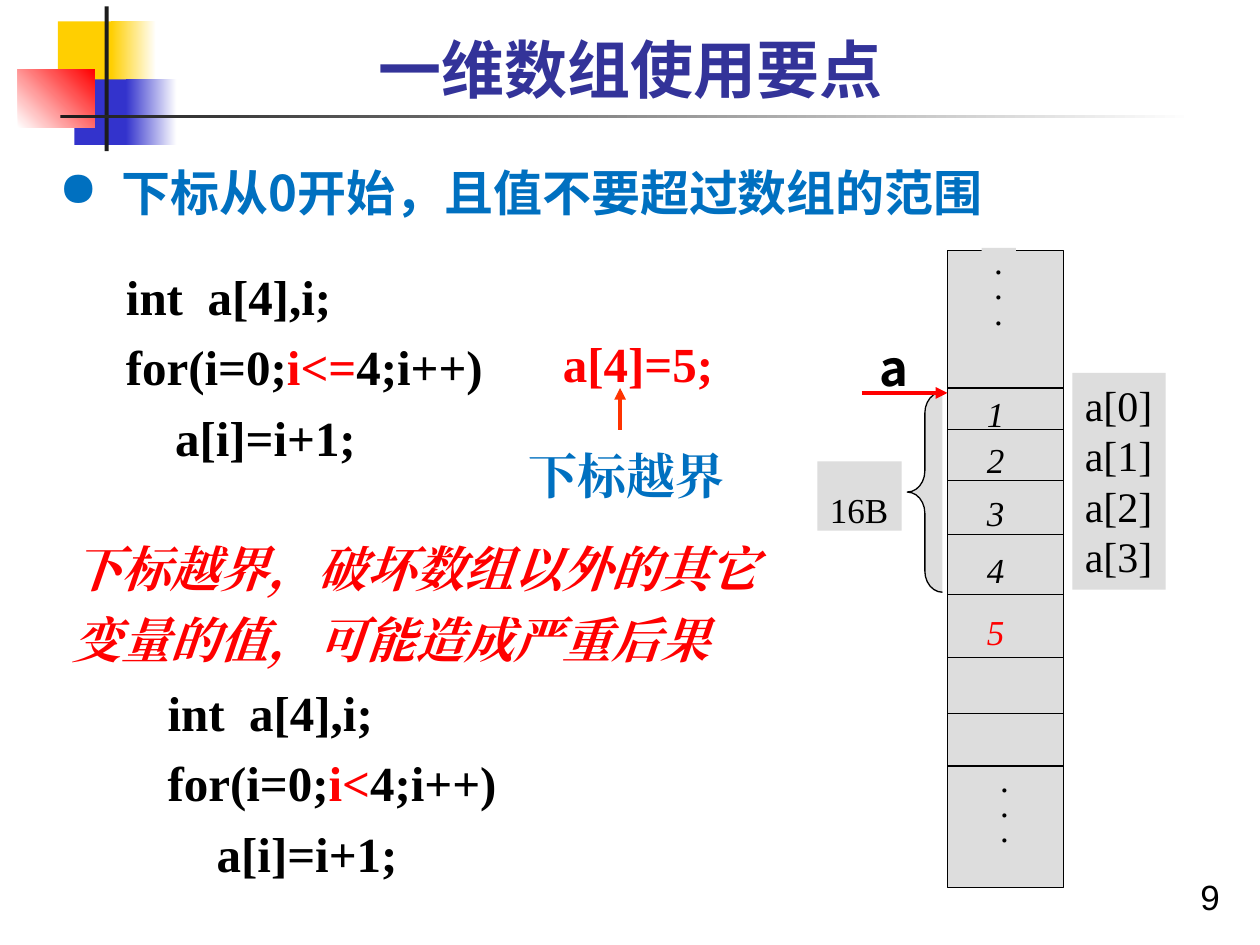
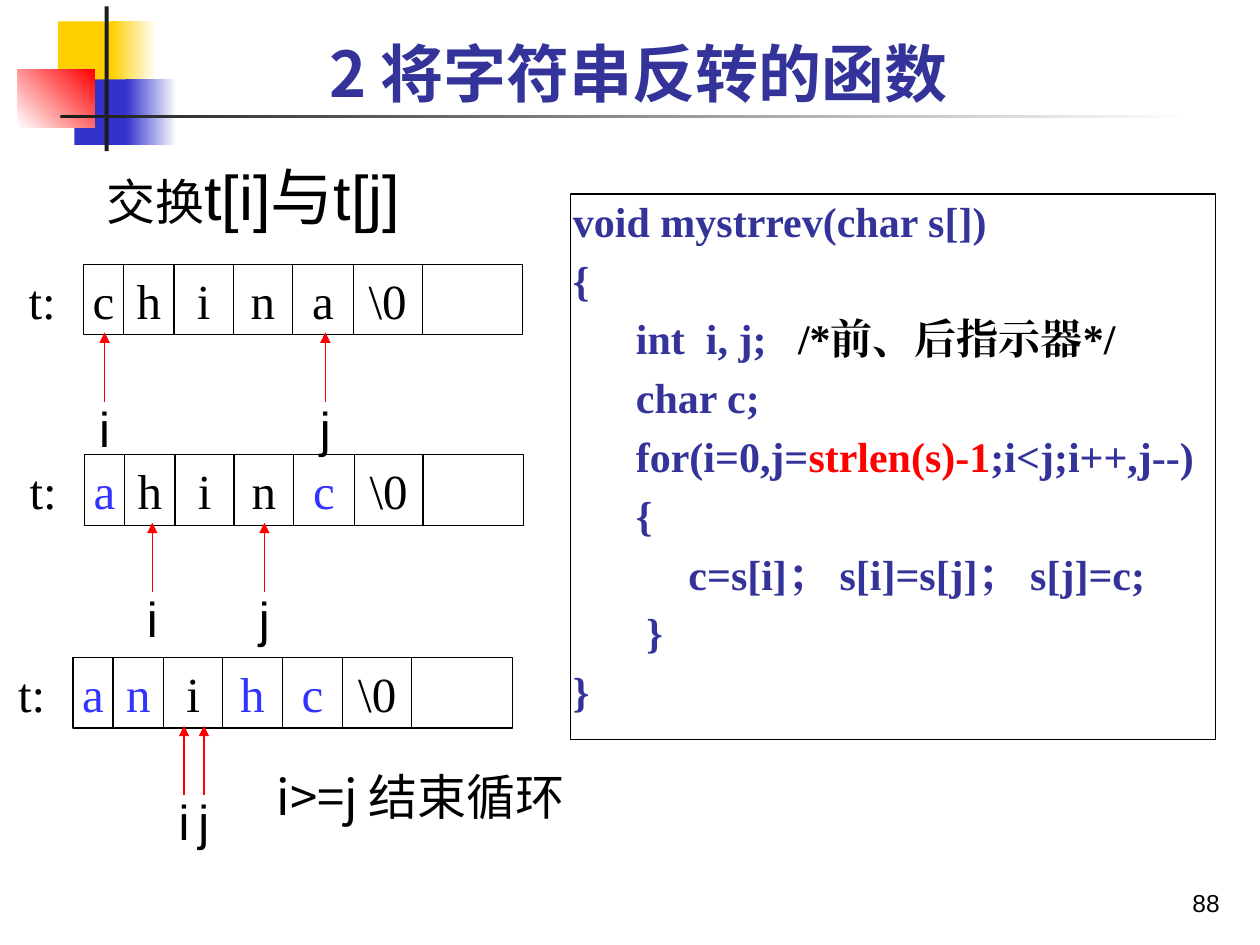
from collections import namedtuple
from dataclasses import dataclass, replace
from itertools import pairwise

from lxml import etree
from pptx import Presentation
from pptx import util as u
from pptx.dml import color as dml
from pptx.enum import shapes, text
from pptx.oxml import ns

BLACK, WHITE, RED, ORANGE = "000000", "FFFFFF", "FF0000", "FF3300"
NAVY, BLUE, SWAPPED, GREY = "333399", "0070C0", "3333FF", "DDDDDD"
YELLOW, INDIGO, INK = "FFCF01", "3333CC", "1C1C1C"
SERIF, SANS, CJK = "Times New Roman", "Arial", "Noto Sans CJK SC"
LEFT, CENTER, RIGHT = text.PP_ALIGN.LEFT, text.PP_ALIGN.CENTER, text.PP_ALIGN.RIGHT
TOP, MIDDLE, BOTTOM = (text.MSO_ANCHOR.TOP, text.MSO_ANCHOR.MIDDLE,
                       text.MSO_ANCHOR.BOTTOM)
RECT = shapes.MSO_SHAPE.RECTANGLE


class Box(namedtuple("Box", "left top width height")):
    """A rectangle in centimetres."""

    def inside(self, dx, dy, width, height):
        return Box(self.left + dx, self.top + dy, width, height)

    def lengths(self):
        return [u.Cm(value) for value in self]


@dataclass(frozen=True)
class Style:
    size: float = 28
    face: str = SERIF
    color: str = BLACK
    bold: bool = False
    italic: bool = False
    gap: float = 0  # extra points after each character


@dataclass(frozen=True)
class Para:
    spans: tuple  # strings, or (string, style changes)
    indent: float = 0
    bullet: str = ""


CODE = Style(bold=True)
PANEL_CODE = Style(24, color=NAVY, bold=True)
TITLE = Style(36, CJK, NAVY, bold=True)


def rgb(value):
    return dml.RGBColor.from_string(value)


def add_span(para, words, style):
    span = para.add_run()
    span.text = words
    font = span.font
    font.size, font.name = u.Pt(style.size), style.face
    font.bold, font.italic = style.bold, style.italic
    font.color.rgb = rgb(style.color)
    props = span._r.get_or_add_rPr()
    etree.SubElement(props, ns.qn("a:ea")).set("typeface", style.face)
    if style.gap:
        props.set("spc", str(int(style.gap * 100)))


def write(shape, paras, style, align=LEFT, anchor=TOP, spacing=1.0, before=0,
          wrap=True, insets=(0.25, 0.13)):
    frame = shape.text_frame
    frame.word_wrap, frame.vertical_anchor = wrap, anchor
    frame.margin_left = frame.margin_right = u.Cm(insets[0])
    frame.margin_top = frame.margin_bottom = u.Cm(insets[1])
    for number, item in enumerate(paras):
        if isinstance(item, str):
            item = Para((item,))
        para = frame.add_paragraph() if number else frame.paragraphs[0]
        para.alignment, para.line_spacing = align, spacing
        para.space_before = u.Pt(before)
        props = para._p.get_or_add_pPr()
        props.set("marL", str(u.Cm(item.indent)))
        props.set("indent", str(-u.Cm(item.indent) if item.bullet else 0))
        if item.bullet:
            etree.SubElement(props, ns.qn("a:buChar")).set("char", item.bullet)
        for span in item.spans:
            words, changes = (span, {}) if isinstance(span, str) else span
            add_span(para, words, replace(style, **changes))


def add_words(page, box, paras, style, **layout):
    write(page.shapes.add_textbox(*box.lengths()), paras, style, **layout)


def add_label(page, center, middle, words, style):
    """Centre a short unwrapped text on a point."""
    add_words(page, Box(center - 0.6, middle - 0.7, 1.2, 1.4), [words], style,
              align=CENTER, anchor=MIDDLE, wrap=False, insets=(0, 0))


def add_block(page, box, fill=None, line=None, fade=None, angle=0, kind=RECT):
    block = page.shapes.add_shape(kind, *box.lengths())
    block.shadow.inherit = False
    if fade:
        block.fill.gradient()
        block.fill.gradient_angle = angle
        for stop, value in zip(block.fill.gradient_stops, (fill, fade)):
            stop.color.rgb = rgb(value)
    elif fill:
        block.fill.solid()
        block.fill.fore_color.rgb = rgb(fill)
    else:
        block.fill.background()
    if line:
        block.line.color.rgb = rgb(line)
        block.line.width = u.Pt(0.75)
    else:
        block.line.fill.background()
    return block


def add_line(page, start, end, color=BLACK, width=0.75, arrow=False):
    line = page.shapes.add_connector(shapes.MSO_CONNECTOR.STRAIGHT,
                                     *[u.Cm(value) for value in (*start, *end)])
    line.line.color.rgb = rgb(color)
    line.line.width = u.Pt(width)
    if arrow:
        tail = etree.SubElement(line.line._get_or_add_ln(), ns.qn("a:tailEnd"))
        tail.set("type", "triangle")
    etree.SubElement(line._element.spPr, ns.qn("a:effectLst"))


def add_page(deck, title, title_box, number, number_size):
    """Add a page with the shared ornament, title and page number."""
    page = deck.slides.add_slide(deck.slide_layouts[6])
    for box, fill, fade, angle in (
            (Box(1.17, 0.43, 1.22, 1.32), YELLOW, None, 0),
            (Box(2.24, 0.43, 0.91, 1.32), YELLOW, WHITE, 0),
            (Box(1.5, 1.6, 1.17, 1.32), INDIGO, None, 0),
            (Box(2.54, 1.6, 1.02, 1.32), INDIGO, WHITE, 0),
            (Box(0.36, 1.4, 1.55, 1.17), WHITE, RED, 45),
            (Box(2.11, 0.13, 0.08, 2.92), INK, None, 0),
            (Box(1.22, 2.31, 22.86, 0.08), INK, WHITE, 0)):
        add_block(page, box, fill, fade=fade, angle=angle)
    add_words(page, title_box, [title], TITLE, align=CENTER, anchor=BOTTOM)
    add_words(page, Box(19.56, 17.35, 5.28, 1.27), [number],
              Style(number_size, SANS), align=RIGHT, anchor=BOTTOM)
    return page


def add_loop_code(page, box, comparison):
    add_words(page, box, [
        Para(("int", (" ", {"gap": 7}), "a[4],i;"), 0.74),
        Para(("for(i=0;", (comparison, {"color": RED}), "4;i++)"), 0.74),
        Para(("a[i]=i+1;",), 1.73)], CODE, spacing=1.2)


def add_overflow_note(page, box):
    """The out-of-range assignment with its caption below an arrow."""
    add_words(page, box.inside(0.7, 0, 4.88, 1.57), ["a[4]=5;"],
              replace(CODE, color=RED), spacing=1.2)
    add_line(page, (box.left + 2.1, box.top + 2.31),
             (box.left + 2.1, box.top + 1.47), ORANGE, 2.25, arrow=True)
    add_words(page, box.inside(0, 2.26, box.width, 1.55), ["下标越界"],
              replace(CODE, color=BLUE), spacing=1.2, wrap=False)


def add_memory(page, box):
    """The memory column with its values, indices, size brace and pointer."""
    add_block(page, box, GREY, BLACK)
    for dx, dy in ((0.69, -0.05), (0.81, 10.39)):
        patch = add_block(page, box.inside(dx, dy, 0.69, 1.83), GREY)
        write(patch, ["."] * 3, Style(20), spacing=0.6, wrap=False)

    borders = [box.top + dy
               for dy in (2.77, 3.61, 4.63, 5.72, 6.94, 8.21, 9.33, 10.39)]
    right = box.left + box.width
    for border in borders:
        add_line(page, (box.left, border), (right, border))
    for value, (upper, lower) in zip("12345", pairwise(borders)):
        color = RED if value == "5" else BLACK
        add_label(page, box.left + box.width / 2 - 0.2, (upper + lower) / 2 + 0.1,
                  value, Style(20, color=color, italic=True))

    indices = add_block(page, box.inside(2.52, 2.47, 1.88, 4.37), GREY)
    write(indices, [f"a[{index}]" for index in range(4)], Style(24), wrap=False)

    brace = add_block(page, box.inside(-0.81, 2.85, 0.71, 4.04), GREY, BLACK,
                      kind=shapes.MSO_SHAPE.LEFT_BRACE)
    brace.adjustments[0], brace.adjustments[1] = 0.6, 0.5
    size = add_block(page, box.inside(-2.62, 4.25, 1.7, 1.4), GREY)
    write(size, ["16B"], Style(20), spacing=1.5, wrap=False)

    add_line(page, (box.left - 1.73, box.top + 2.87),
             (box.left, box.top + 2.87), RED, 2.25, arrow=True)
    add_words(page, box.inside(-1.62, 1.63, 1.09, 1.45), ["a"],
              Style(face=CJK, bold=True), wrap=False)


def add_string_row(page, box, word, start_word, pointers):
    """Draw the string's cells; letters that moved from start_word are coloured."""
    add_block(page, box, line=BLACK)
    edges = [box.left + dx for dx in (0, 0.81, 1.83, 3.02, 4.22, 5.44, 6.83)]
    bottom, middle = box.top + box.height, box.top + box.height / 2
    for edge in edges[1:]:
        add_line(page, (edge, box.top), (edge, bottom))
    add_label(page, box.left - 0.83, middle, "t:", Style())
    for letter, first, (left, right) in zip([*word, "\\0"], [*start_word, "\\0"],
                                            pairwise(edges)):
        color = BLACK if letter == first else SWAPPED
        add_label(page, (left + right) / 2, middle, letter, Style(color=color))
    for name, dx in zip("ij", pointers):
        x = box.left + dx
        add_line(page, (x, bottom + 1.35), (x, bottom - 0.05), RED, arrow=True)
        add_label(page, x, bottom + 1.87, name, Style(face=SANS))


def add_reverse_code(page, box):
    panel = add_block(page, box, WHITE, BLACK)
    write(panel, [
        "void mystrrev(char s[])",
        "{",
        Para(("int", (" ", {"gap": 6}), "i, j;", (" ", {"gap": 12}),
              ("/*前、后指示器*/", {"color": BLACK})), 1.27),
        Para(("char c;",), 1.27),
        Para(("for(i=0,j=", ("strlen(s)-1", {"color": RED}), ";i<j;i++,j--)"), 1.27),
        Para(("{",), 1.27),
        Para(("c=s[i]； s[i]=s[j]； s[j]=c;",), 2.33),
        Para(("}",), 1.48),
        "}"], PANEL_CODE, before=4.8, insets=(0.05, 0.03))


def add_array_page(deck):
    page = add_page(deck, "一维数组使用要点", Box(1.9, 0.13, 21.64, 2.13), "9", 20)
    add_words(page, Box(0.94, 3.15, 20.24, 1.45),
              [Para(("下标从0开始，且值不要超过数组的范围",), 1.27, "●")],
              Style(face=CJK, color=BLUE, bold=True))
    add_loop_code(page, Box(1.55, 5, 8.69, 4.52), "i<=")
    add_overflow_note(page, Box(10.4, 6.35, 4.52, 3.81))
    add_words(page, Box(1.22, 10.49, 14.81, 3.1),
              ["下标越界，破坏数组以外的其它变量的值，可能造成严重后果"],
              Style(color=RED, bold=True, italic=True), spacing=1.2)
    add_loop_code(page, Box(2.39, 13.39, 8.69, 4.52), "i<")
    add_memory(page, Box(19.1, 5.05, 2.34, 12.85))


def add_reverse_page(deck):
    page = add_page(deck, "2 将字符串反转的函数", Box(2.05, 0.33, 21.64, 2.03),
                    "88", 14)
    add_words(page, Box(1.9, 3.05, 9.2, 1.8),
              [Para(("交换", ("t[i]与t[j]", {"size": 36, "face": SANS})))],
              Style(face=CJK))
    for left, top, word, pointers in ((1.68, 5.33, "china", (0.43, 4.88)),
                                      (1.7, 9.17, "ahinc", (1.37, 3.63)),
                                      (1.47, 13.26, "anihc", (2.24, 2.64))):
        add_string_row(page, Box(left, top, 8.86, 1.42), word, "china", pointers)
    add_words(page, Box(5.33, 15.32, 9.2, 1.45), ["i>=j 结束循环"], Style(face=CJK))
    add_reverse_code(page, Box(11.5, 3.91, 13, 11))


def main():
    deck = Presentation()
    deck.slide_width, deck.slide_height = u.Cm(25.4), u.Cm(19.05)
    add_array_page(deck)
    add_reverse_page(deck)
    deck.save("out.pptx")


if __name__ == "__main__":
    main()
